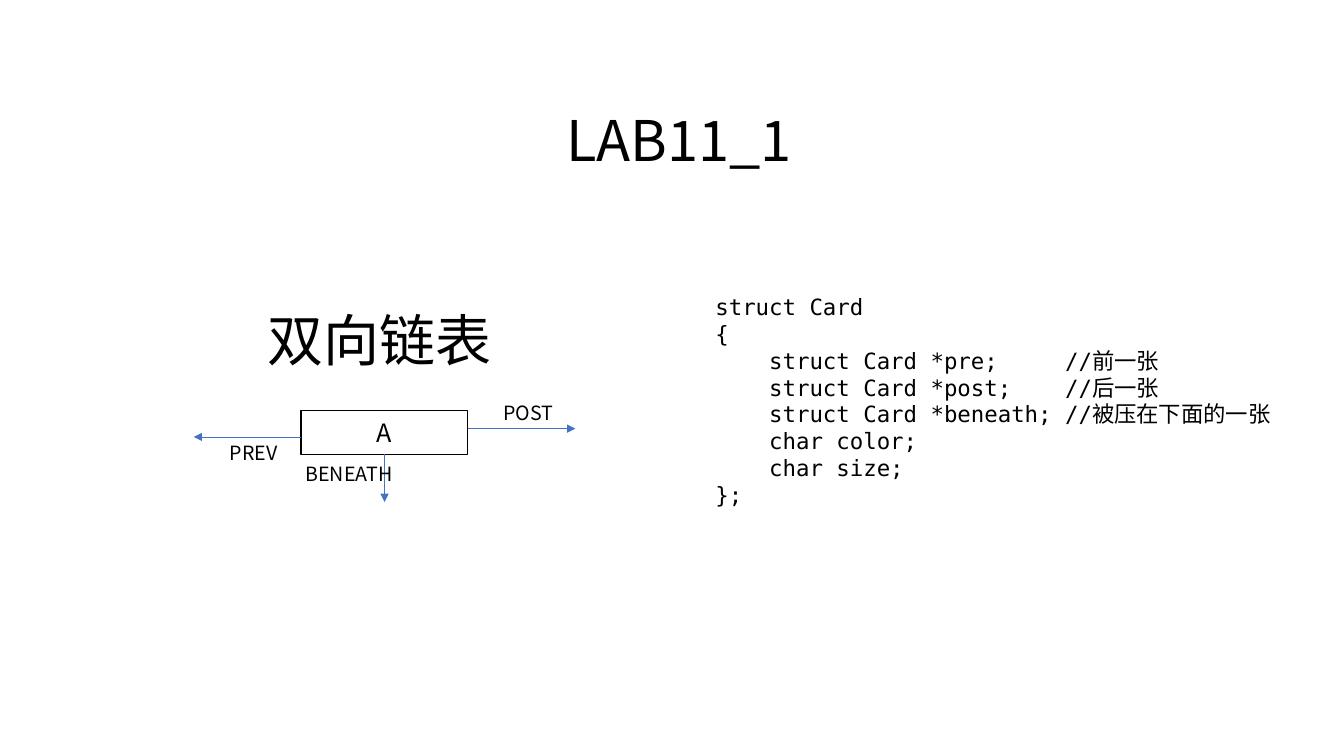
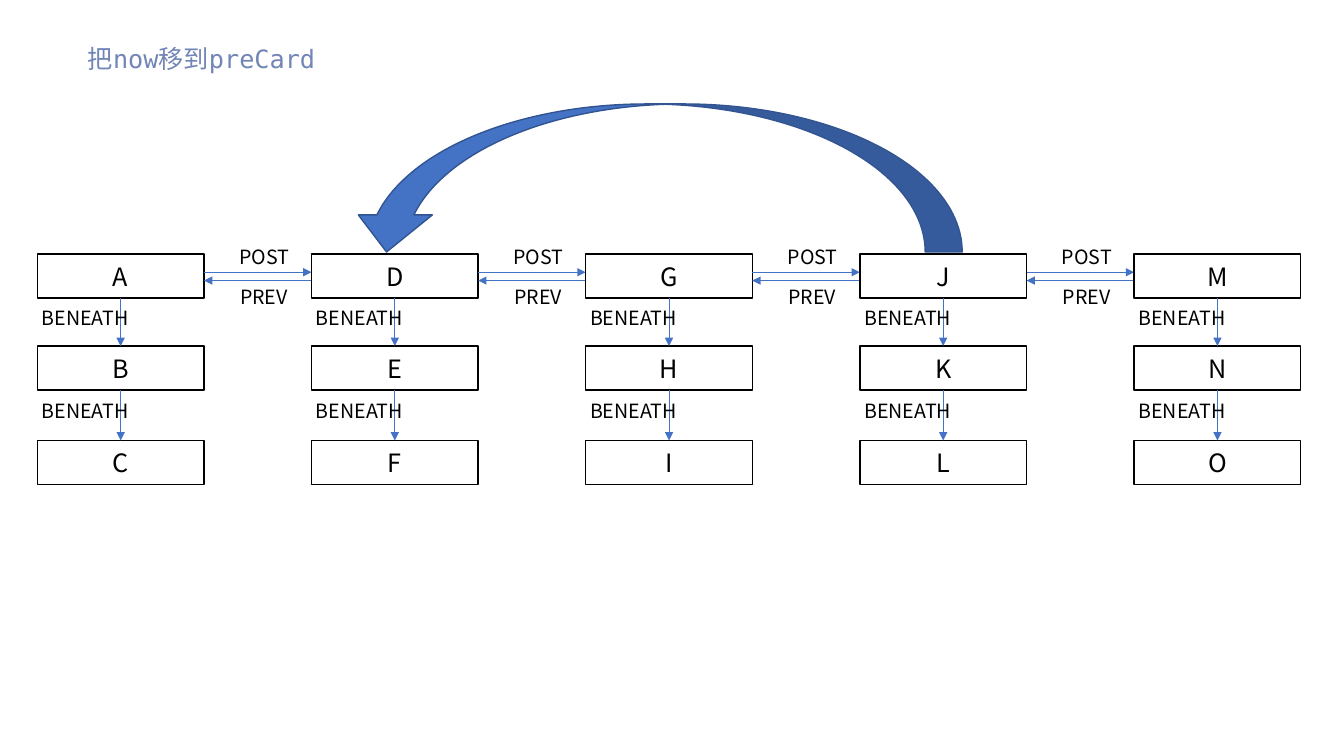
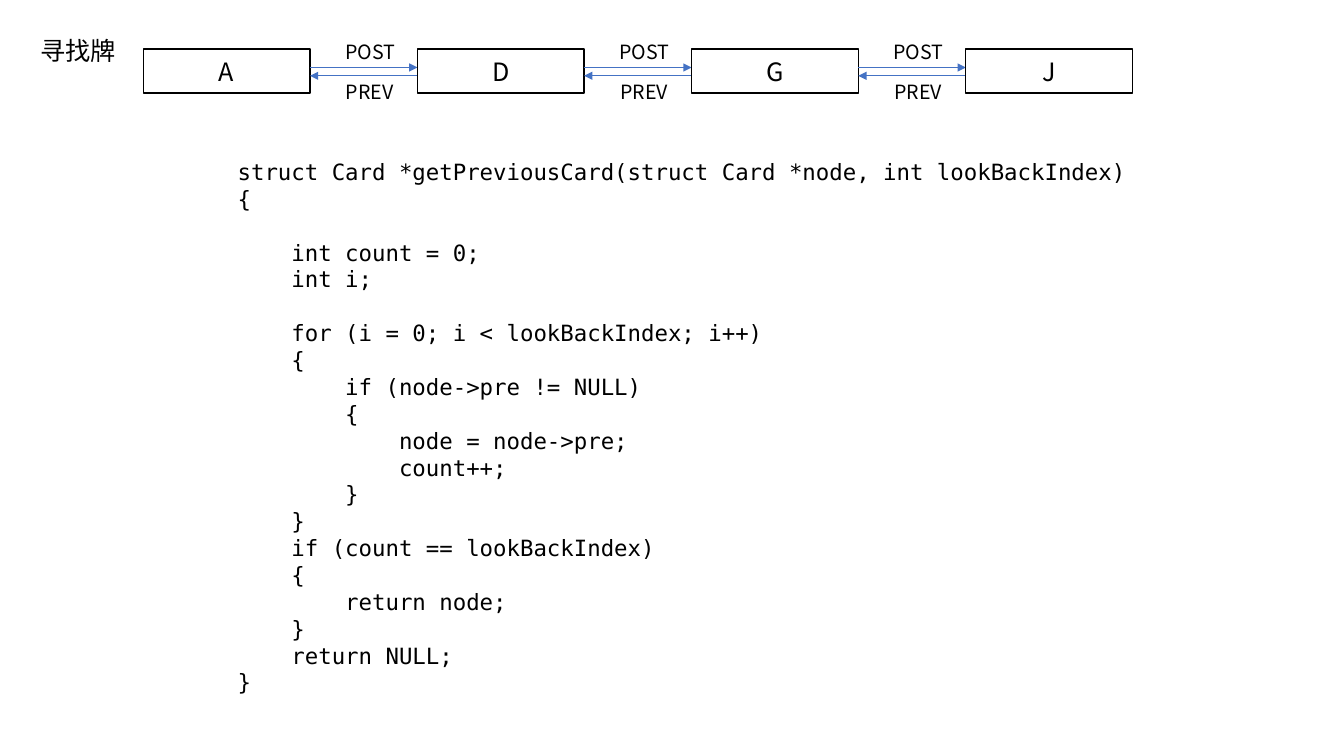
import dataclasses

import pptx
import pptx.dml.color
import pptx.enum.shapes
import pptx.enum.text
import pptx.oxml.ns
import pptx.util
from lxml import etree

Cm = pptx.util.Cm
Pt = pptx.util.Pt
Shape = pptx.enum.shapes.MSO_SHAPE
Align = pptx.enum.text.PP_ALIGN
Anchor = pptx.enum.text.MSO_ANCHOR
qn = pptx.oxml.ns.qn


@dataclasses.dataclass(frozen=True)
class Theme:
    ink: str = "000000"
    paper: str = "FFFFFF"
    blue: str = "4472C4"
    edge: str = "325491"
    soft: str = "7285B7"
    sans: str = "Noto Sans CJK SC"
    mono: str = "DejaVu Sans Mono"
    big: int = 40
    head: int = 18
    code: int = 16
    label: int = 14
    line: float = 19.2


# Card grid, in centimetres
WIDE, HIGH = 4.2, 1.11
STEP = 6.91
GAP = STEP - WIDE

STRUCT = """
struct Card
{
    struct Card *pre;     //前一张
    struct Card *post;    //后一张
    struct Card *beneath; //被压在下面的一张
    char color;
    char size;
};
"""

SEARCH = """
struct Card *getPreviousCard(struct Card *node, int lookBackIndex)
{

    int count = 0;
    int i;

    for (i = 0; i < lookBackIndex; i++)
    {
        if (node->pre != NULL)
        {
            node = node->pre;
            count++;
        }
    }
    if (count == lookBackIndex)
    {
        return node;
    }
    return NULL;
}
"""


def color(code):
    return pptx.dml.color.RGBColor.from_string(code)


class Deck:
    def __init__(self, theme):
        self.theme = theme
        self.file = pptx.Presentation()
        self.file.slide_width = Cm(33.87)
        self.file.slide_height = Cm(19.05)
        self.slide = None

    def words(self, para, text, size, face=None, ink=None):
        """Add one styled run to a paragraph."""
        run = para.add_run()
        run.text = text
        run.font.size = Pt(size)
        run.font.color.rgb = color(ink or self.theme.ink)
        run.font.name = face or self.theme.sans
        east = etree.SubElement(run.font._element, qn("a:ea"))
        east.set("typeface", self.theme.sans)

    def page(self, title, x, y, wide, high, size, face=None, ink=None):
        """Start a slide and place its title."""
        self.slide = self.file.slides.add_slide(self.file.slide_layouts[5])
        box = self.slide.shapes.title
        box.left, box.top, box.width, box.height = map(Cm, (x, y, wide, high))
        frame = box.text_frame
        frame.vertical_anchor = Anchor.TOP
        frame.auto_size = pptx.enum.text.MSO_AUTO_SIZE.NONE
        para = frame.paragraphs[0]
        para.alignment = Align.LEFT
        para.line_spacing = 1.0
        self.words(para, title, size, face, ink)

    def text(self, lines, x, y, wide, high, size, face=None):
        """Add one paragraph per line; a blank line becomes space before."""
        box = self.slide.shapes.add_textbox(Cm(x), Cm(y), Cm(wide), Cm(high))
        frame = box.text_frame
        frame.word_wrap = True
        para, space = frame.paragraphs[0], 0
        for count, line in enumerate(lines.strip("\n").split("\n")):
            if not line:
                space += self.theme.line
                continue
            if count:
                para = frame.add_paragraph()
            if space:
                para.space_before = Pt(space)
            space = 0
            self.words(para, line, size, face)

    def label(self, word, x, y, wide=1.93):
        self.text(word, x, y, wide, 0.92, self.theme.label)

    def shape(self, kind, x, y, wide, high, fill, edge):
        item = self.slide.shapes.add_shape(
            kind, Cm(x), Cm(y), Cm(wide), Cm(high))
        item.shadow.inherit = False
        item.fill.solid()
        item.fill.fore_color.rgb = color(fill)
        item.line.color.rgb = color(edge)
        item.line.width = Pt(1)
        return item

    def card(self, name, x, y):
        item = self.shape(Shape.RECTANGLE, x, y, WIDE, HIGH,
                          self.theme.paper, self.theme.ink)
        item.text_frame.vertical_anchor = Anchor.MIDDLE
        para = item.text_frame.paragraphs[0]
        para.alignment = Align.CENTER
        self.words(para, name, self.theme.head)
        return item

    def arrow(self, x, y, to_x, to_y):
        line = self.slide.shapes.add_connector(
            pptx.enum.shapes.MSO_CONNECTOR.STRAIGHT,
            Cm(x), Cm(y), Cm(to_x), Cm(to_y))
        line.line.color.rgb = color(self.theme.blue)
        line.line.width = Pt(0.5)
        tail = etree.SubElement(line.line._get_or_add_ln(), qn("a:tailEnd"))
        tail.set("type", "triangle")
        etree.SubElement(line._element.spPr, qn("a:effectLst"))
        return line

    def post(self, x, y):
        """Point right across the gap at x, beside cards with top y."""
        self.arrow(x, y + 0.46, x + GAP, y + 0.46)
        self.label("POST", x + 0.64, y - 0.36)

    def prev(self, x, y):
        """Point left across the gap at x, beside cards with top y."""
        self.arrow(x + GAP, y + 0.67, x, y + 0.67)
        self.label("PREV", x + 0.66, y + 0.65)

    def drop(self, card, x, y, end, below=None):
        """Point from the card at x, y down to the height end."""
        mid, base = x + WIDE / 2, y + HIGH
        line = self.arrow(mid, base, mid, end)
        line.begin_connect(card, 2)
        if below is not None:
            line.end_connect(below, 0)
        self.label("BENEATH", x - 0.14, (base + end) / 2 - 0.54, 3.18)

    def chain(self, piles, x, tops):
        """Draw piles of cards, linked both ways along the top row."""
        for col, names in enumerate(piles):
            left = x + col * STEP
            cards = [self.card(name, left, top)
                     for name, top in zip(names, tops)]
            for row in range(len(cards) - 1):
                self.drop(cards[row], left, tops[row], tops[row + 1],
                          cards[row + 1])
            if col < len(piles) - 1:
                self.post(left + WIDE, tops[0])
                self.prev(left + WIDE, tops[0])

    def swoop(self, x, y, wide, high):
        """Add a curved arrow that runs from right to left."""
        item = self.shape(Shape.CURVED_DOWN_ARROW, x, y, wide, high,
                          self.theme.blue, self.theme.edge)
        item._element.spPr.find(qn("a:xfrm")).set("flipH", "1")


def intro(deck):
    theme = deck.theme
    deck.page("LAB11_1", 14.02, 2.54, 8.89, 1.96, theme.big)
    x, y = 7.59, 10.34
    card = deck.card("A", x, y)
    deck.post(x + WIDE, y)
    deck.prev(x - GAP, y)
    deck.drop(card, x, y, 12.65)
    deck.text("双向链表", 6.5, 7.57, 8.89, 1.96, theme.big)
    deck.text(STRUCT, 17.78, 7.26, 15.6, 5.74, theme.code, theme.mono)


def move(deck):
    theme = deck.theme
    deck.page("把now移到preCard", 1.96, 0.97, 16.94, 1.02,
              theme.head, theme.mono, theme.soft)
    deck.chain(["ABC", "DEF", "GHI", "JKL", "MNO"], 0.94, [6.4, 8.72, 11.1])
    deck.swoop(8.81, 2.62, 15.44, 3.73)


def search(deck):
    theme = deck.theme
    deck.page("寻找牌", 0.76, 0.76, 2.8, 1.02, theme.head, theme.mono)
    deck.chain("ADGJ", 3.61, [1.24])
    deck.text(SEARCH, 5.74, 3.86, 23.32, 13.94, theme.code, theme.mono)


def main():
    deck = Deck(Theme())
    for build in (intro, move, search):
        build(deck)
    deck.file.save("out.pptx")


if __name__ == "__main__":
    main()
